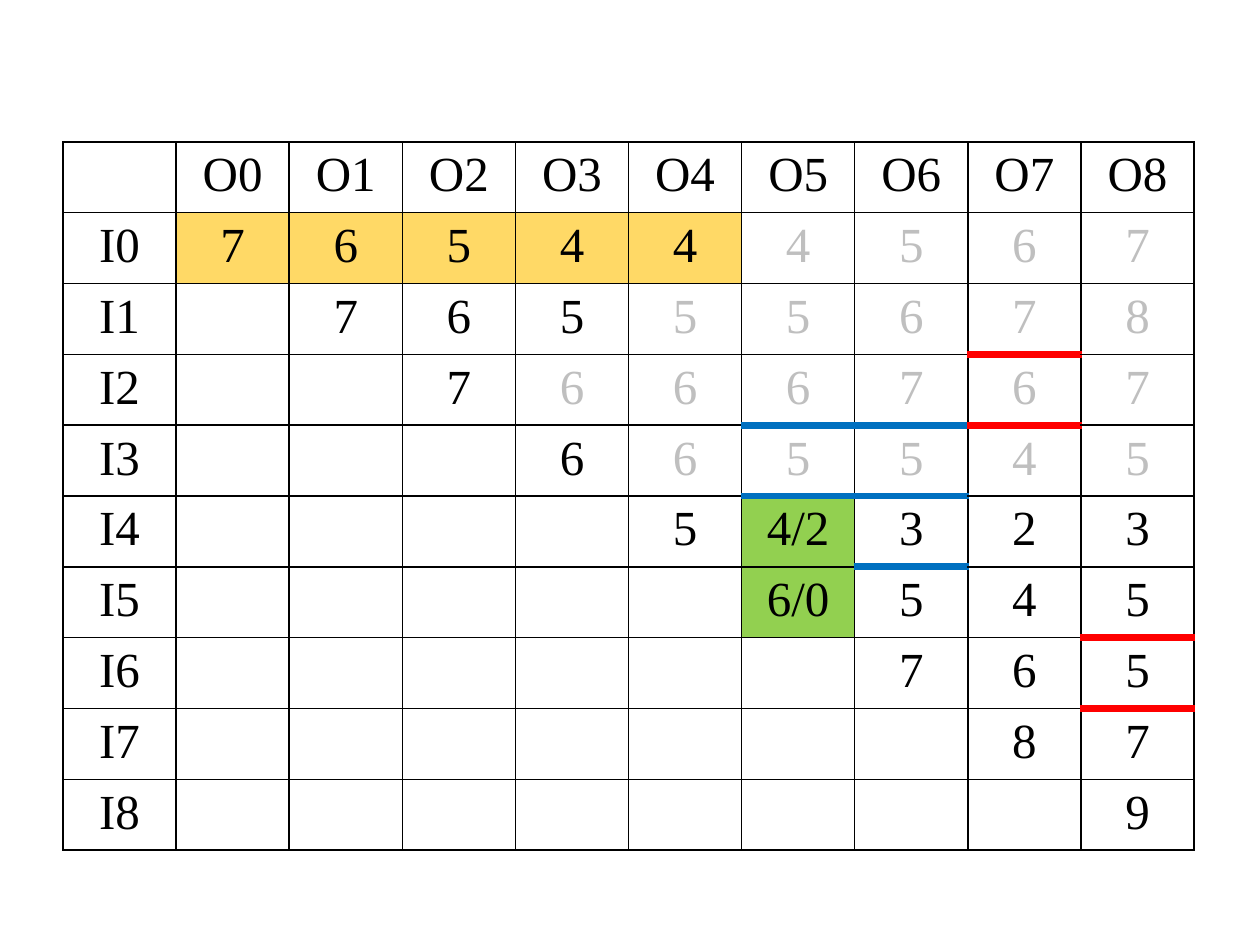
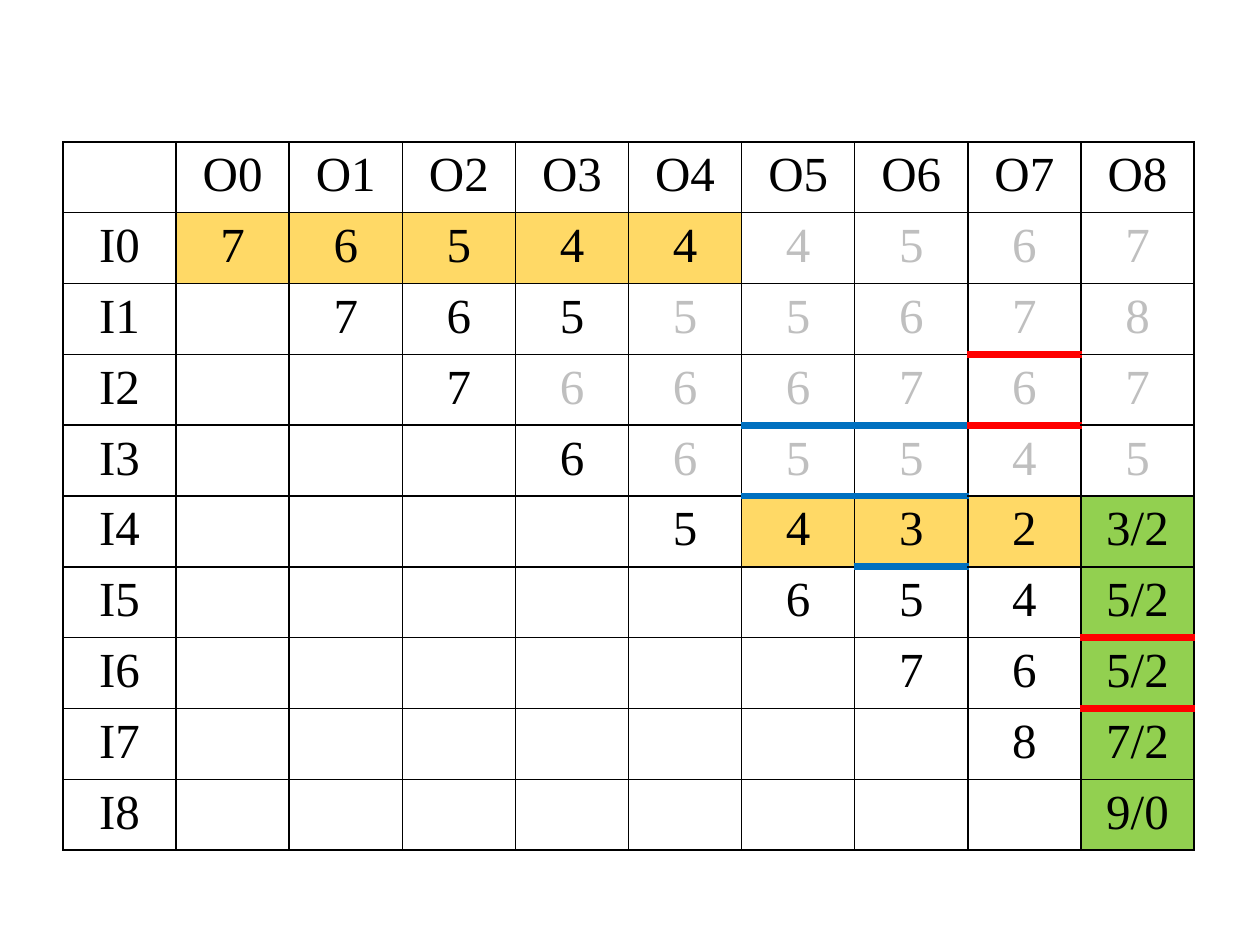
from dataclasses import dataclass

import pptx
import pptx.dml.color
import pptx.enum.text
import pptx.oxml
import pptx.oxml.ns
import pptx.util

Pt = pptx.util.Pt
Cell = tuple[int, int]


@dataclass(frozen=True)
class Theme:
    font: str = "Times New Roman"
    size: float = 28
    ink: str = "000000"
    muted: str = "BFBFBF"
    chosen: str = "FFD966"
    active: str = "92D050"
    red: str = "FF0000"
    blue: str = "0070C0"
    thin: float = 1
    thick: float = 4.5


@dataclass(frozen=True)
class Rule:
    row: int
    cols: tuple[int, ...]
    color: str


@dataclass(frozen=True)
class Step:
    chosen: frozenset[Cell]
    active: dict[Cell, str]


THEME = Theme()
LEFT, TOP, COL_WIDTH, ROW_HEIGHT = 36, 81, 64.65, 40.5
COSTS = ("765444567", "76555678", "7666767", "666554"[1:] + "5", "54323", "6545", "765", "87", "9")
COSTS = COSTS[:3] + ("665545",) + COSTS[4:]
MUTED_FROM = {0: 5, 1: 4, 2: 3, 3: 4}
RULES = (
    Rule(1, (7,), THEME.red),
    Rule(2, (7,), THEME.red),
    Rule(5, (8,), THEME.red),
    Rule(6, (8,), THEME.red),
    Rule(2, (5, 6), THEME.blue),
    Rule(3, (5, 6), THEME.blue),
    Rule(4, (6,), THEME.blue),
)
FIRST_RUN = frozenset((0, col) for col in range(5))
SECOND_RUN = frozenset((4, col) for col in range(5, 8))
STEPS = (
    Step(FIRST_RUN, {(4, 5): "4/2", (5, 5): "6/0"}),
    Step(
        FIRST_RUN | SECOND_RUN,
        {(4, 8): "3/2", (5, 8): "5/2", (6, 8): "5/2", (7, 8): "7/2", (8, 8): "9/0"},
    ),
)
THICK_BELOW = {(rule.row, col): rule.color for rule in RULES for col in rule.cols}


def write(tf, text: str, *, color: str = THEME.ink, size: float = THEME.size) -> None:
    p = tf.paragraphs[0]
    p.alignment = pptx.enum.text.PP_ALIGN.CENTER
    r = p.add_run()
    r.text = text
    r.font.name = THEME.font
    r.font.size = Pt(size)
    r.font.color.rgb = pptx.dml.color.RGBColor.from_string(color)


def add_border(cell, side: str, color: str, width: float) -> None:
    ns = pptx.oxml.ns.nsdecls("a")
    line = pptx.oxml.parse_xml(
        f'<a:ln{side} {ns} w="{Pt(width)}" cap="flat" cmpd="sng" algn="ctr">'
        f'<a:solidFill><a:srgbClr val="{color}"/></a:solidFill>'
        f'<a:prstDash val="solid"/></a:ln{side}>'
    )
    cell._tc.get_or_add_tcPr().append(line)


def set_borders(cell, row: int, col: int) -> None:
    thick = {"T": THICK_BELOW.get((row - 1, col)), "B": THICK_BELOW.get((row, col))}
    for side in "LRTB":
        color = thick.get(side)
        add_border(cell, side, color or THEME.ink, THEME.thick if color else THEME.thin)


def label(row: int, col: int, step: Step) -> str:
    if row < 0:
        return f"O{col}" if col >= 0 else ""
    if col < 0:
        return f"I{row}"
    if col < row:
        return ""
    return step.active.get((row, col), COSTS[row][col - row])


def set_fill(cell, place: Cell, step: Step) -> None:
    color = THEME.active if place in step.active else THEME.chosen if place in step.chosen else None
    if color:
        cell.fill.solid()
        cell.fill.fore_color.rgb = pptx.dml.color.RGBColor.from_string(color)
    else:
        cell.fill.background()


def add_cost_table(s, step: Step) -> None:
    n = len(COSTS) + 1
    frame = s.shapes.add_table(n, n, Pt(LEFT), Pt(TOP), Pt(n * COL_WIDTH), Pt(n * ROW_HEIGHT))
    table = frame.table
    table.first_row = table.horz_banding = False
    for i in range(n):
        table.columns[i].width = Pt(COL_WIDTH)
        table.rows[i].height = Pt(ROW_HEIGHT)
        for j in range(n):
            row, col = i - 1, j - 1
            cell = table.cell(i, j)
            set_borders(cell, row, col)
            set_fill(cell, (row, col), step)
            text = label(row, col, step)
            if text:
                muted = row >= 0 and col >= MUTED_FROM.get(row, n)
                write(cell.text_frame, text, color=THEME.muted if muted else THEME.ink)


def main() -> None:
    prs = pptx.Presentation()
    prs.slide_width, prs.slide_height = Pt(720), Pt(540)
    for step in STEPS:
        s = prs.slides.add_slide(prs.slide_layouts[6])
        add_cost_table(s, step)
    prs.save("out.pptx")


if __name__ == "__main__":
    main()
